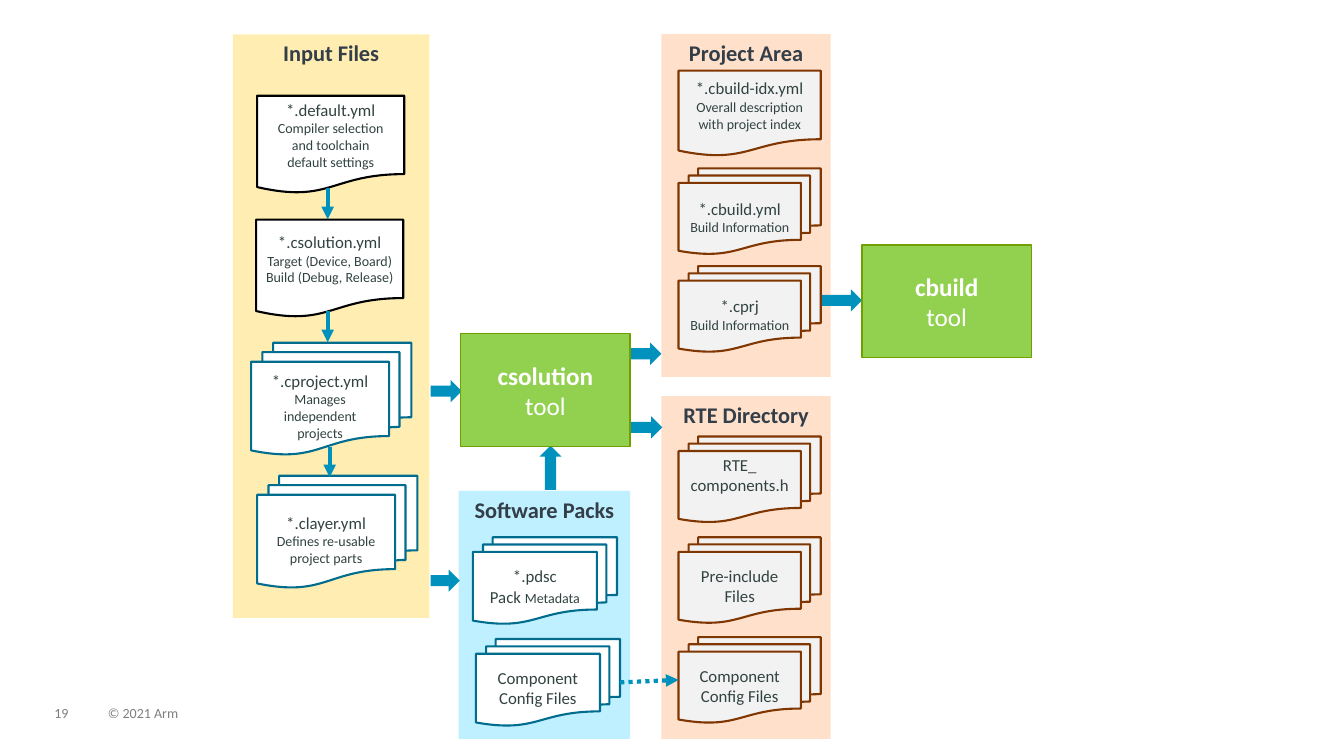
from pptx import Presentation, util as u
from pptx.dml.color import RGBColor
from pptx.enum import dml, shapes, text
from pptx.oxml.ns import qn
from lxml import etree

CELL = 0.1  # grid pitch in inches; lengths below are columns and rows
KIND = shapes.MSO_SHAPE
DOC, STACK = KIND.FLOWCHART_DOCUMENT, KIND.FLOWCHART_MULTIDOCUMENT
BLUE, TEAL, BROWN, BLACK = "0091BD", "006D8E", "803600", "000000"
WHITE, GREY, INK = "FFFFFF", "F2F2F2", "314341"
PEACH, YELLOW, SKY = "FFC499", "FFDD66", "BFF0FF"


def grid(*cells):
    return [u.Inches(n * CELL) for n in cells]


def tint(part, hue):
    part.rgb = RGBColor.from_string(hue)


def style(run, size, hue, bold=False):
    run.font.name = "Calibri"
    run.font.size = u.Pt(size)
    run.font.bold = bold
    tint(run.font.color, hue)


def shape(slide, kind, box, fill, line=None, width=1.5):
    item = slide.shapes.add_shape(kind, *grid(*box))
    item.shadow.inherit = False
    item.fill.solid()
    tint(item.fill.fore_color, fill)
    if line:
        item.line.width = u.Pt(width)
        tint(item.line.color, line)
    else:
        item.line.fill.background()
    return item


def write(item, words, anchor=text.MSO_ANCHOR.MIDDLE):
    """Put centred text in a shape and return its paragraphs."""
    frame = item.text_frame
    frame.word_wrap = True
    frame.vertical_anchor = anchor
    frame.text = words
    for para in frame.paragraphs:
        para.alignment = text.PP_ALIGN.CENTER
    return frame.paragraphs


def panel(slide, box, title, fill, alpha=None):
    item = shape(slide, KIND.RECTANGLE, box, fill)
    if alpha:
        hue = item.fill._xPr.find(".//" + qn("a:srgbClr"))
        etree.SubElement(hue, qn("a:alpha"), val=str(alpha * 1000))
    para = write(item, title, text.MSO_ANCHOR.TOP)[0]
    style(para.runs[0], 16, "333E48", True)


def tool(slide, left, top, name):
    item = shape(slide, KIND.RECTANGLE, (left, top, 16.8, 11.2), "92D050", "70A000", 1)
    head, tail = write(item, name + "\ntool")
    style(head.runs[0], 18, WHITE, True)
    style(tail.runs[0], 18, WHITE)


def card(slide, kind, box, look, head, note=""):
    """Draw a file symbol: head lines in 12 point, note lines in 10 point."""
    item = shape(slide, kind, box, *look)
    paras = write(item, head + ("\n" + note if note else ""))
    count = len(head.split("\n"))
    for place, para in enumerate(paras):
        style(para.runs[0], 12 if place < count else 10, INK)
    return item


def block(slide, left, top, width, turn=0):
    item = shape(slide, KIND.RIGHT_ARROW, (left, top, width, 2.2), BLUE)
    item.rotation = turn


def arrow(slide, start, end, dots=False):
    line = slide.shapes.add_connector(shapes.MSO_CONNECTOR.STRAIGHT, *grid(*start, *end))
    line.line.width = u.Pt(3)
    tint(line.line.color, BLUE)
    if dots:
        line.line.dash_style = dml.MSO_LINE.ROUND_DOT
    props = line._element.spPr
    etree.SubElement(props.find(qn("a:ln")), qn("a:tailEnd"), type="triangle")
    etree.SubElement(props, qn("a:effectLst"))
    return line


def foot(slide, left, width, words):
    frame = slide.shapes.add_textbox(*grid(left, 70.1, width, 1.5)).text_frame
    frame.word_wrap = True
    frame.margin_left = frame.margin_right = frame.margin_top = frame.margin_bottom = 0
    frame.text = words
    para = frame.paragraphs[0]
    para.line_spacing = 0.9
    para.space_after = u.Pt(6)
    style(para.runs[0], 10, "7F7F7F")


def inputs(slide):
    sheets = [
        (25.5, 9.5, "*.default.yml", "Compiler selection\nand toolchain\ndefault settings"),
        (25.4, 21.8, "*.csolution.yml", "Target (Device, Board) Build (Debug, Release)"),
    ]
    for left, top, head, note in sheets:
        item = card(slide, DOC, (left, top, 14.6, 9.7), (WHITE, BLACK), head, note)
        item.text_frame.margin_left = item.text_frame.margin_right = 0
    stacks = [
        (24.9, 34, "*.cproject.yml", "Manages\nindependent\nprojects"),
        (25.5, 47.2, "*.clayer.yml", "Defines re-usable project parts"),
    ]
    for left, top, head, note in stacks:
        card(slide, STACK, (left, top, 15.9, 11.1), (WHITE, TEAL), head, note)
    for col, row in [(32.5, 18.7), (32.5, 30.9), (32.7, 44.3)]:
        arrow(slide, (col, row), (col, row + 3.05))


def packs(slide):
    """Draw the pack files and return the config files."""
    look = (WHITE, TEAL)
    meta = card(slide, STACK, (46.9, 53.3, 14.3, 8.6), look, "*.pdsc\nPack ")
    run = meta.text_frame.paragraphs[1].add_run()
    run.text = "Metadata"
    style(run, 10, INK)
    return card(slide, STACK, (47.2, 63.4, 14.3, 8.6), look, "Component\nConfig Files")


def outputs(slide):
    """Draw the generated files and return the last one."""
    files = [
        (DOC, 7, "*.cbuild-idx.yml", "Overall description\nwith project index"),
        (STACK, 16.7, "*.cbuild.yml", "Build Information"),
        (STACK, 26.4, "*.cprj", "Build Information"),
        (STACK, 43.3, "RTE_\ncomponents.h", ""),
        (STACK, 53.3, "Pre-include\nFiles", ""),
        (STACK, 63.2, "Component\nConfig Files", ""),
    ]
    for kind, top, head, note in files:
        item = card(slide, kind, (67.3, top, 14.1, 8.5), (GREY, BROWN), head, note)
        if head.startswith("RTE_"):
            item.text_frame.margin_bottom = u.Inches(0.25)
    return item


def main():
    deck = Presentation()
    deck.slide_width, deck.slide_height = u.Inches(13.33), u.Inches(7.5)
    slide = deck.slides.add_slide(deck.slide_layouts[6])
    foot(slide, 5.4, 3.4, "19")
    foot(slide, 10.7, 50.7, "© 2021 Arm")

    panel(slide, (65.6, 39.3, 16.8, 34), "RTE Directory", PEACH, 50)
    panel(slide, (65.6, 3.4, 16.8, 34), "Project Area", PEACH, 50)
    panel(slide, (23.1, 3.4, 19.5, 57.9), "Input Files", YELLOW, 50)
    panel(slide, (45.5, 48.7, 17, 24.6), "Software Packs", SKY)

    for left, top, width in [(60, 34, 5.6), (60.1, 41.3, 5.6), (42.7, 56.5, 2.9),
                             (42.7, 37.7, 3.1), (81.4, 28.7, 4.1)]:
        block(slide, left, top, width)
    block(slide, 52.4, 45.3, 4.4, 270)

    tool(slide, 45.7, 33.1, "csolution")
    tool(slide, 85.5, 24.3, "cbuild")

    inputs(slide)
    source = packs(slide)
    target = outputs(slide)
    link = arrow(slide, (61.5, 67.4), (67.3, 67.4), True)
    link.begin_connect(source, 3)
    link.end_connect(target, 1)
    deck.save("out.pptx")


if __name__ == "__main__":
    main()
